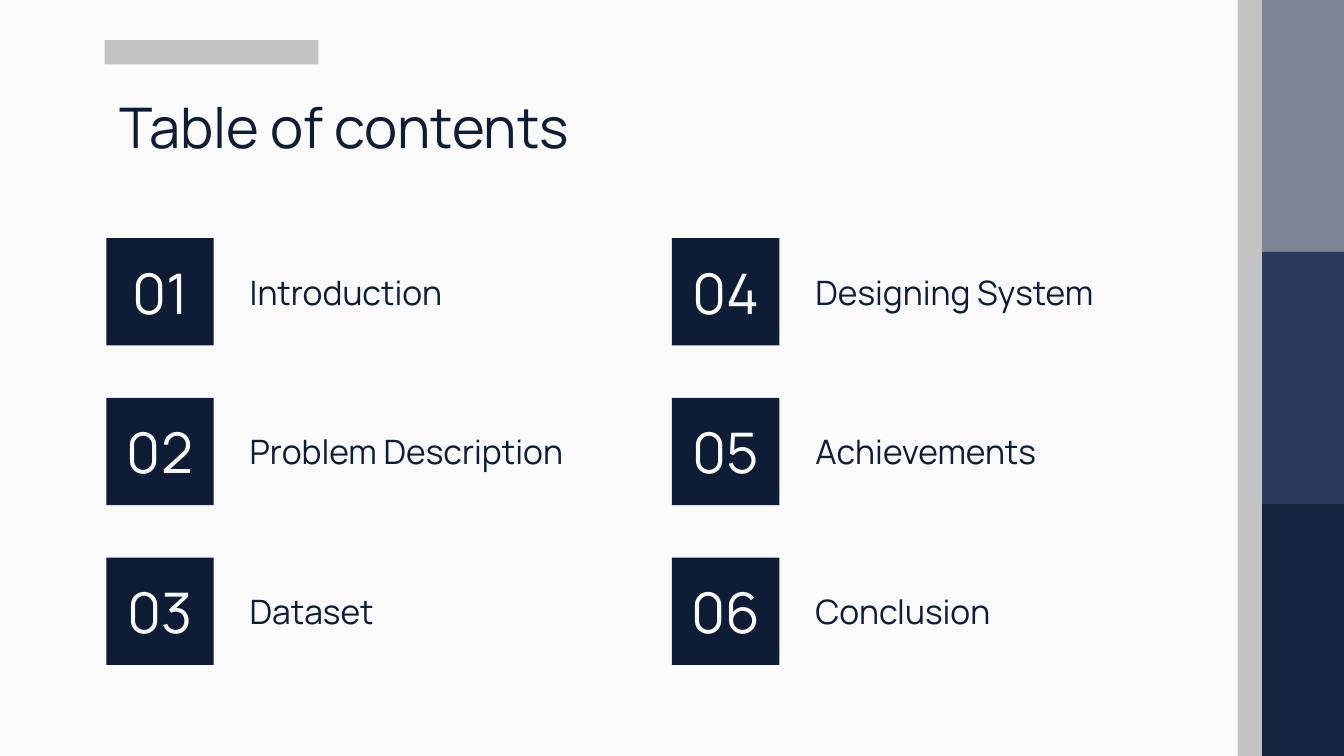
"""Build a table of contents slide with six numbered entries."""
from pptx import Presentation
from pptx.dml.color import RGBColor
from pptx.enum.shapes import MSO_SHAPE
from pptx.enum.text import MSO_ANCHOR, MSO_AUTO_SIZE, PP_ALIGN
from pptx.util import Cm, Pt

RECT = MSO_SHAPE.RECTANGLE
TOP, MIDDLE = MSO_ANCHOR.TOP, MSO_ANCHOR.MIDDLE
LEFT, CENTER = PP_ALIGN.LEFT, PP_ALIGN.CENTER
NO_FIT = MSO_AUTO_SIZE.NONE
NAVY, PAPER, GREY = "0E1D35", "FAFAFA", "C3C3C3"


def add_rect(x, y, w, h, color):
    sp = s.shapes.add_shape(RECT, Cm(x), Cm(y), Cm(w), Cm(h))
    sp.shadow.inherit = False
    sp.fill.solid()
    sp.fill.fore_color.rgb = RGBColor.from_string(color)
    sp.line.fill.background()
    return sp


def write(sp, text, size, color, align=LEFT, anchor=MIDDLE):
    tf = sp.text_frame
    frame = {"word_wrap": True, "auto_size": NO_FIT, "vertical_anchor": anchor}
    for side in ("left", "right", "top", "bottom"):
        frame[f"margin_{side}"] = Cm(0.25)
    for name, value in frame.items():
        setattr(tf, name, value)
    p = tf.paragraphs[0]
    p.alignment = align
    r = p.add_run()
    r.text = text
    for name, value in {"name": "Manrope", "size": Pt(size), "bold": False}.items():
        setattr(r.font, name, value)
    r.font.color.rgb = RGBColor.from_string(color)


prs = Presentation()
prs.slide_width, prs.slide_height = Cm(25.4), Cm(14.29)
s = prs.slides.add_slide(prs.slide_layouts[5])
s.background.fill.solid()
s.background.fill.fore_color.rgb = RGBColor.from_string(PAPER)

for i, color in enumerate(["7C8594", "2B3B5D", "15253F"]):
    add_rect(23.85, i * 14.29 / 3, 1.55, 14.29 / 3, color)
add_rect(23.39, 0, 0.46, 14.29, GREY)
add_rect(1.98, 0.76, 4.04, 0.46, GREY)

title = s.shapes.title
place = {"left": 2.01, "top": 1.5, "width": 21.41, "height": 1.6}
for name, value in place.items():
    setattr(title, name, Cm(value))
write(title, "Table of contents", 30, NAVY, anchor=TOP)

entries = ["Introduction", "Problem Description", "Dataset",
           "Designing System", "Achievements", "Conclusion"]
for i, entry in enumerate(entries):
    col, row = divmod(i, 3)
    x, y = 2.01 + col * 10.69, 4.5 + row * 3.02
    sp = add_rect(x, y, 2.03, 2.03, NAVY)
    write(sp, f"{i + 1:02}", 30, PAPER, CENTER)
    label = s.shapes.add_textbox(Cm(x + 2.46), Cm(y), Cm(7.04), Cm(2.03))
    write(label, entry, 18, NAVY)

prs.save("out.pptx")
